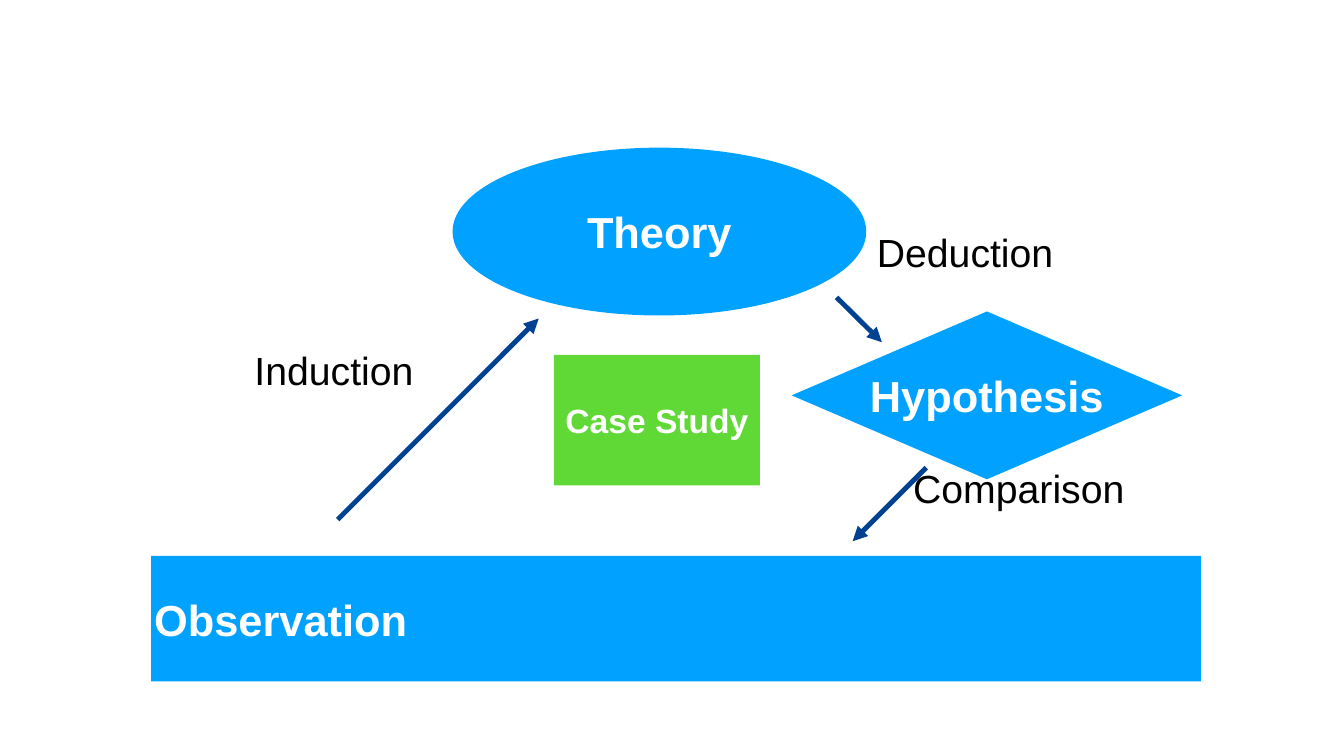
"""Build a slide showing the research cycle of theory, hypothesis and observation."""
from lxml.etree import SubElement
from pptx import Presentation
from pptx.dml.color import RGBColor
from pptx.enum.shapes import MSO_CONNECTOR, MSO_SHAPE
from pptx.enum.text import MSO_ANCHOR, MSO_AUTO_SIZE, PP_ALIGN
from pptx.oxml.ns import qn
from pptx.util import Emu, Pt

COLORS = {
    "blue": "00A1FF",
    "green": "60D937",
    "navy": "004191",
    "white": "FFFFFF",
    "black": "000000",
}
FONT = "Arial"
EMU_PER_PX = 9144
INSET = 6


def px(*lengths):
    return [Emu(n * EMU_PER_PX) for n in lengths]


def rgb(name):
    return RGBColor.from_string(COLORS[name])


def write(sp, text, size=62, color="white", bold=True, align=PP_ALIGN.CENTER, wrap=True):
    tf = sp.text_frame
    tf.word_wrap = wrap
    tf.vertical_anchor = MSO_ANCHOR.MIDDLE
    tf.margin_left, tf.margin_top, tf.margin_right, tf.margin_bottom = px(*[INSET] * 4)
    p = tf.paragraphs[0]
    p.alignment = align
    r = p.add_run()
    r.text = text
    r.font.name = FONT
    r.font.size = Pt(size)
    r.font.bold = bold
    r.font.color.rgb = rgb(color)
    return p


class Diagram:
    def __init__(self, s):
        self.s = s

    def node(self, kind, box, text, fill="blue", **fmt):
        sp = self.s.shapes.add_shape(kind, *px(*box))
        sp.shadow.inherit = False
        sp.fill.solid()
        sp.fill.fore_color.rgb = rgb(fill)
        sp.line.fill.background()
        write(sp, text, **fmt)

    def label(self, box, text):
        sp = self.s.shapes.add_textbox(*px(*box))
        p = write(sp, text, size=56, color="black", bold=False, align=PP_ALIGN.LEFT, wrap=False)
        p.line_spacing = 0.9
        p.space_before = Pt(45)
        sp.text_frame.auto_size = MSO_AUTO_SIZE.SHAPE_TO_FIT_TEXT

    def arrow(self, start, end):
        line = self.s.shapes.add_connector(MSO_CONNECTOR.STRAIGHT, *px(*start, *end))
        line.line.color.rgb = rgb("navy")
        line.line.width = Pt(7)
        SubElement(line.line._get_or_add_ln(), qn("a:tailEnd"), type="triangle")
        SubElement(line._element.spPr, qn("a:effectLst"))


def main():
    prs = Presentation()
    prs.slide_width, prs.slide_height = px(2667, 1500)
    d = Diagram(prs.slides.add_slide(prs.slide_layouts[6]))

    d.node(MSO_SHAPE.RECTANGLE, (300, 1103, 2083, 249), "Observation", align=PP_ALIGN.LEFT)
    d.node(MSO_SHAPE.OVAL, (898, 293, 821, 333), "Theory")
    d.label((499, 688, 337, 102), "Induction")
    d.arrow((670, 1031), (1069, 632))
    d.node(MSO_SHAPE.DIAMOND, (1571, 618, 775, 333), "Hypothesis", wrap=False)
    d.arrow((1660, 590), (1750, 679))
    d.arrow((1838, 928), (1692, 1074))
    d.label((1734, 455, 370, 102), "Deduction")
    d.label((1806, 922, 437, 102), "Comparison")
    d.node(MSO_SHAPE.RECTANGLE, (1099, 704, 409, 259), "Case Study", fill="green", size=48)

    prs.save("out.pptx")


if __name__ == "__main__":
    main()
